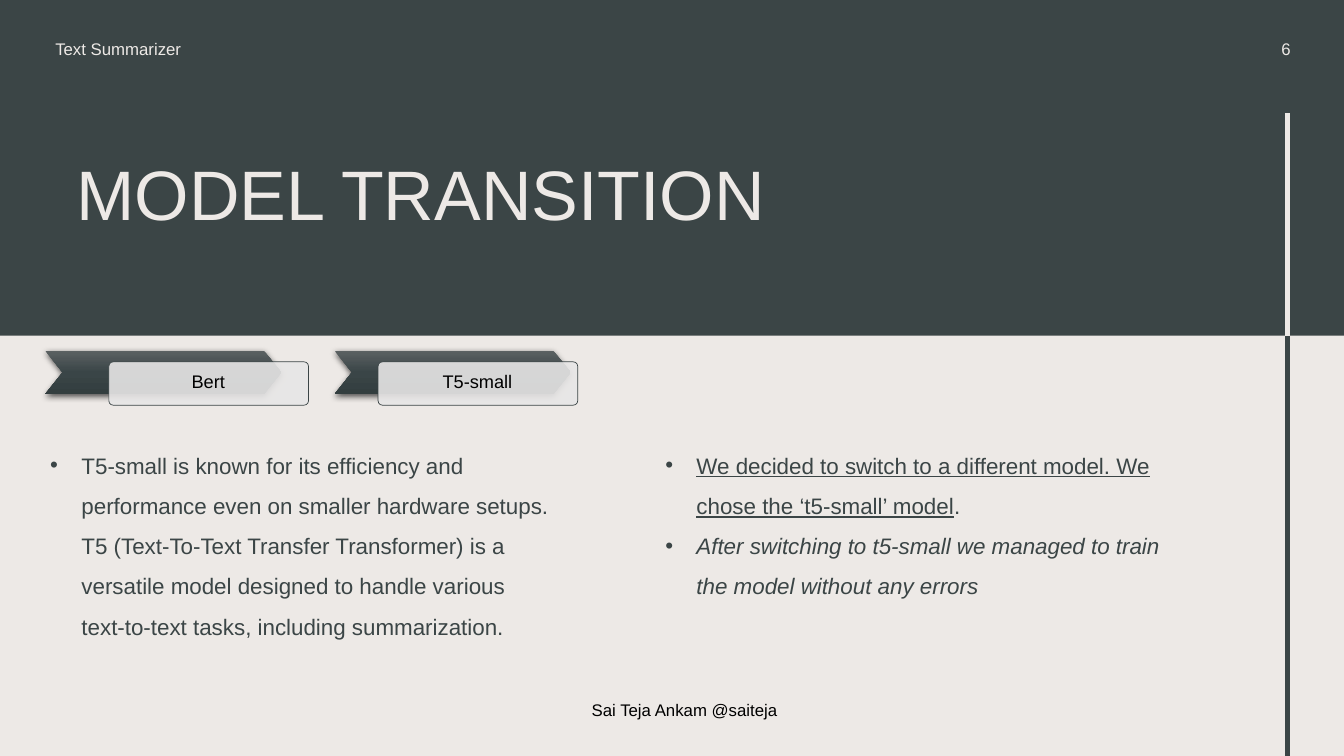
from pptx import Presentation, util as u
from pptx.dml.color import RGBColor
from pptx.enum import shapes, text
from pptx.oxml import parse_xml
from pptx.oxml.ns import nsdecls, qn

WIDE, HIGH = 13.33, 7.5
DARK, PALE, GREY, BLACK = "3B4546", "EDE9E6", "E7E6E6", "000000"
BAND, RAIL = 3.33, 12.77
TITLE = "MODEL TRANSITION"
LABELS = [
    ("Text Summarizer", (0.45, 0.33, 2, 0.3), PALE, "LEFT"),
    ("Sai Teja Ankam @saiteja", (5.77, 6.84, 2.07, 0.4), BLACK, "LEFT"),
    ("6", (11.07, 0.33, 1.83, 0.3), PALE, "RIGHT"),
]
RAILS = [(HIGH, BAND, DARK), (BAND, 1.12, PALE)]
STEPS = [("Bert", 0.45, 1.08), ("T5-small", 3.32, 3.75)]
STOPS = [(0, "5B6162"), (50, "3A4547"), (100, "333E3F")]
BODIES = [
    (0.4, [[("T5-small is known for its efficiency and performance even on "
             "smaller hardware setups. T5 (Text-To-Text Transfer Transformer) "
             "is a versatile model designed to handle various text-to-text "
             "tasks, including summarization.", {})]]),
    (6.5, [[("We decided to switch to a different model. We chose the "
             "‘t5-small’ model", {"underline": True}), (".", {})],
           [("After switching to t5-small we managed to train the model "
             "without any errors", {"italic": True})]]),
]

deck = Presentation()
deck.slide_width, deck.slide_height = u.Inches(WIDE), u.Inches(HIGH)
page = deck.slides.add_slide(deck.slide_layouts[5])


def tint(hue):
    return RGBColor.from_string(hue)


def inch(box):
    return [u.Inches(n) for n in box]


def put(item, form):
    for key, val in form.items():
        setattr(item, key, val)


def write(par, words, size, hue, **form):
    run = par.add_run()
    run.text = words
    put(run.font, {"name": "Arial", "size": u.Pt(size), **form})
    run.font.color.rgb = tint(hue)


def shape(kind, box, hue=None, edge=None):
    item = page.shapes.add_shape(getattr(shapes.MSO_SHAPE, kind), *inch(box))
    item.shadow.inherit = False
    if hue:
        item.fill.solid()
        item.fill.fore_color.rgb = tint(hue)
    if edge:
        item.line.color.rgb = tint(edge)
        item.line.width = u.Pt(0.5)
    else:
        item.line.fill.background()
    return item


def frame(box, anchor="MIDDLE"):
    area = page.shapes.add_textbox(*inch(box)).text_frame
    put(area, {"word_wrap": True,
               "vertical_anchor": getattr(text.MSO_ANCHOR, anchor)})
    return area


def rail(start, end, hue):
    line = page.shapes.add_connector(
        shapes.MSO_CONNECTOR.STRAIGHT, *inch((RAIL, start, RAIL, end)))
    line.line.color.rgb = tint(hue)
    line.line.width = u.Pt(3.5)
    line._element.spPr.append(parse_xml(f"<a:effectLst {nsdecls('a')}/>"))


def shade(item):
    props = item._element.spPr
    item.fill.background()
    stops = "".join(f'<a:gs pos="{at * 1000}"><a:srgbClr val="{hue}"/></a:gs>'
                    for at, hue in STOPS)
    props.replace(props.find(qn("a:noFill")), parse_xml(
        f"<a:gradFill {nsdecls('a')}><a:gsLst>{stops}</a:gsLst>"
        '<a:lin ang="5400000" scaled="0"/></a:gradFill>'))
    props.find(qn("a:effectLst")).append(parse_xml(
        f'<a:outerShdw {nsdecls("a")} blurRad="{u.Pt(4.5)}" dist="{u.Pt(1.5)}" '
        'dir="5400000" algn="ctr" rotWithShape="0"><a:srgbClr val="000000">'
        '<a:alpha val="63000"/></a:srgbClr></a:outerShdw>'))


def step(name, left, card):
    arrow = shape("CHEVRON", (left, 3.48, 2.34, 0.43))
    arrow.adjustments[0] = 0.4
    shade(arrow)
    plate = shape("ROUNDED_RECTANGLE", (card, 3.59, 1.98, 0.43), GREY, DARK)
    plate.adjustments[0] = 0.1
    clr = plate._element.spPr.find(qn("a:solidFill"))[0]
    clr.append(parse_xml(f'<a:alpha {nsdecls("a")} val="90000"/>'))
    par = frame((card + 0.01, 3.6, 1.95, 0.4)).paragraphs[0]
    put(par, {"alignment": text.PP_ALIGN.CENTER, "line_spacing": 0.9})
    write(par, name, 13, BLACK)


def body(left, items):
    area = frame((left, 4.3, 5.2, 1.84), "TOP")
    for num, runs in enumerate(items):
        par = area.add_paragraph() if num else area.paragraphs[0]
        par.line_spacing = 1.5
        props = par._p.get_or_add_pPr()
        props.set("marL", str(u.Inches(0.31)))
        props.set("indent", str(-u.Inches(0.31)))
        for mark in ('buFont typeface="Arial"', 'buChar char="•"'):
            tag, rest = mark.split(" ", 1)
            props.append(parse_xml(f"<a:{tag} {nsdecls('a')} {rest}/>"))
        for words, form in runs:
            write(par, words, 16, DARK, **form)


def main():
    back = page.background.fill
    back.solid()
    back.fore_color.rgb = tint(PALE)
    band = shape("RECTANGLE", (0, 0, WIDE, BAND), DARK)
    page.shapes._spTree.insert(2, band._element)
    for part in RAILS:
        rail(*part)
    head = page.shapes.title
    put(head, dict(zip(("left", "top", "width", "height"),
                       inch((0.66, 1.6, 11.5, 0.63)))))
    put(head.text_frame, {"vertical_anchor": text.MSO_ANCHOR.TOP,
                          "word_wrap": True,
                          "auto_size": text.MSO_AUTO_SIZE.NONE})
    par = head.text_frame.paragraphs[0]
    put(par, {"alignment": text.PP_ALIGN.LEFT, "line_spacing": 0.8})
    write(par, TITLE, 50, PALE)
    for words, box, hue, side in LABELS:
        par = frame(box).paragraphs[0]
        par.alignment = getattr(text.PP_ALIGN, side)
        write(par, words, 12, hue)
    for part in STEPS:
        step(*part)
    for part in BODIES:
        body(*part)
    deck.save("out.pptx")


if __name__ == "__main__":
    main()
